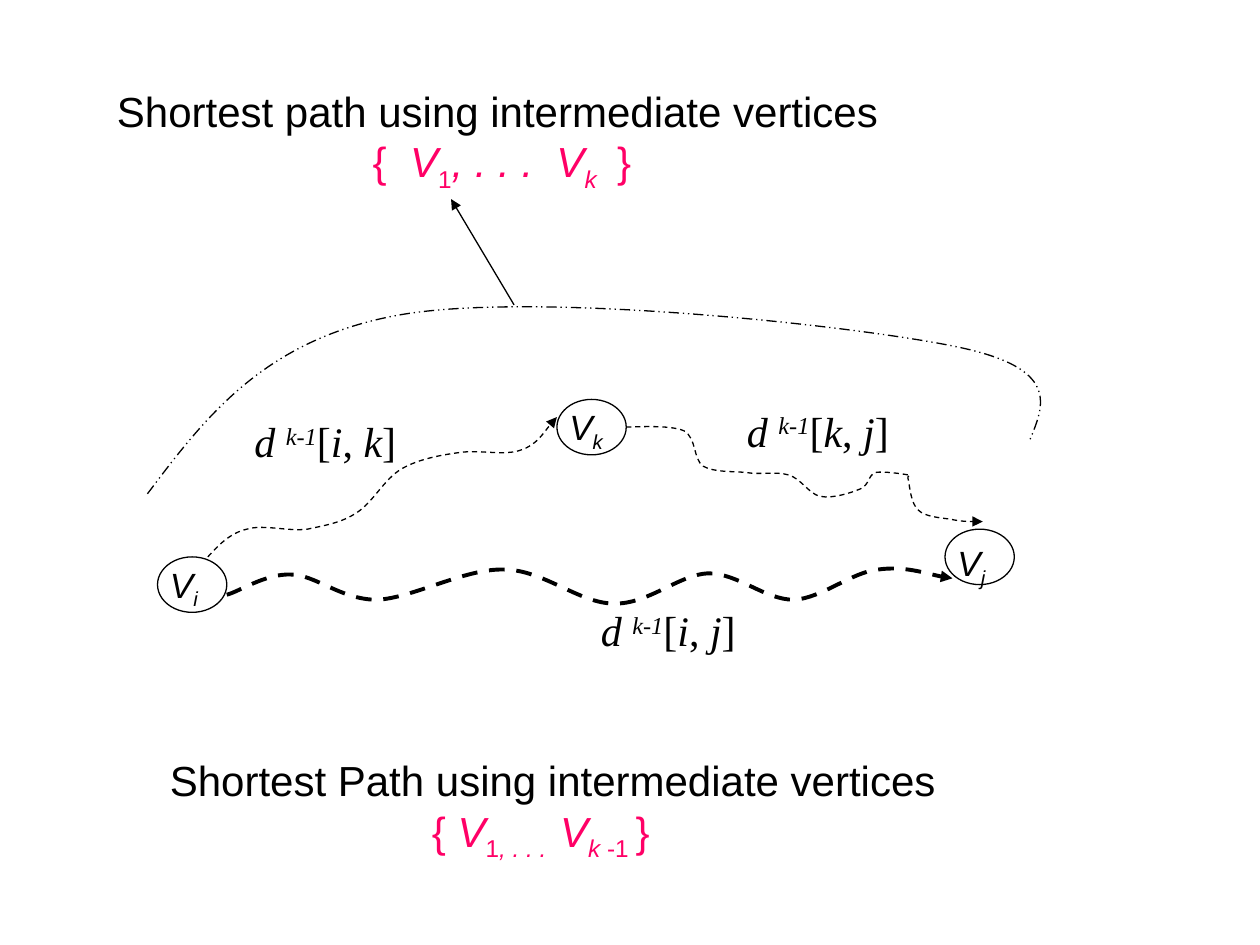
import dataclasses

import lxml.etree
import pptx
import pptx.dml.color
import pptx.enum.dml
import pptx.enum.shapes
import pptx.oxml.ns
import pptx.util
from pptx.util import Inches

qn = pptx.oxml.ns.qn
LINE = pptx.enum.dml.MSO_LINE
SUB, SUPER = -25000, 30000


@dataclasses.dataclass(frozen=True)
class Theme:
    ink: str = "000000"
    accent: str = "FF0066"
    sans: str = "Arial"
    serif: str = "Times New Roman"
    text: int = 24
    vertex: int = 20
    thin: float = 0.75
    thick: float = 2.25


THEME = Theme()

DIRECT_PATH = [
    (1.8, 4.72),
    (1.89, 4.7), (2.11, 4.55), (2.31, 4.56),
    (2.5, 4.56), (2.71, 4.76), (2.99, 4.76),
    (3.27, 4.75), (3.69, 4.51), (4, 4.52),
    (4.31, 4.52), (4.6, 4.79), (4.87, 4.79),
    (5.14, 4.8), (5.39, 4.56), (5.62, 4.55),
    (5.86, 4.55), (6.07, 4.76), (6.3, 4.76),
    (6.52, 4.75), (6.76, 4.54), (6.97, 4.52),
    (7.18, 4.49), (7.44, 4.58), (7.56, 4.59),
]
PATH_I_TO_K = [
    (1.65, 4.42),
    (1.74, 4.32), (1.83, 4.23), (1.96, 4.2),
    (2.09, 4.16), (2.29, 4.22), (2.44, 4.2),
    (2.58, 4.17), (2.71, 4.15), (2.83, 4.07),
    (2.96, 3.99), (3.05, 3.8), (3.19, 3.72),
    (3.33, 3.64), (3.51, 3.61), (3.66, 3.59),
    (3.82, 3.57), (4.01, 3.62), (4.14, 3.57),
    (4.26, 3.53), (4.36, 3.37), (4.42, 3.31),
]
PATH_K_TO_J = [
    (4.97, 3.39),
    (5.05, 3.39), (5.32, 3.37), (5.43, 3.42),
    (5.53, 3.48), (5.5, 3.64), (5.58, 3.7),
    (5.67, 3.75), (5.81, 3.74), (5.92, 3.75),
    (6.03, 3.77), (6.16, 3.74), (6.26, 3.77),
    (6.36, 3.8), (6.42, 3.92), (6.51, 3.94),
    (6.61, 3.96), (6.76, 3.91), (6.83, 3.88),
    (6.9, 3.85), (6.89, 3.77), (6.95, 3.75),
    (7.01, 3.74), (7.16, 3.76), (7.21, 3.77),
    (7.25, 3.78), (7.19, 3.76), (7.21, 3.81),
    (7.22, 3.86), (7.23, 4), (7.29, 4.05),
    (7.34, 4.1), (7.46, 4.11), (7.54, 4.12),
    (7.63, 4.14), (7.75, 4.14), (7.8, 4.14),
]
OUTER_PATH = [
    (1.17, 3.92),
    (1.63, 3.31), (2.1, 2.69), (3.17, 2.5),
    (4.24, 2.31), (6.75, 2.58), (7.58, 2.75),
    (8.42, 2.92), (8.29, 3.21), (8.17, 3.5),
]


def rgb(value):
    return pptx.dml.color.RGBColor.from_string(value)


def style_line(shape, width=THEME.thin, dash=None, arrow=False):
    shape.line.color.rgb = rgb(THEME.ink)
    shape.line.width = pptx.util.Pt(width)
    if dash:
        shape.line.dash_style = dash
    if arrow:
        ln = shape.line._get_or_add_ln()
        lxml.etree.SubElement(ln, qn("a:tailEnd"), type="triangle")


def add_curve(s, points, **line):
    start, *rest = [(Inches(x), Inches(y)) for x, y in points]
    builder = s.shapes.build_freeform(*start)
    builder.add_line_segments(rest, close=False)
    sp = builder.convert_to_shape()
    segments = list(sp._element.iter(qn("a:lnTo")))
    outline = segments[0].getparent()
    for i in range(0, len(segments), 3):
        curve = lxml.etree.SubElement(outline, qn("a:cubicBezTo"))
        for segment in segments[i:i + 3]:
            curve.append(segment[0])
            outline.remove(segment)
    sp.fill.background()
    sp.shadow.inherit = False
    style_line(sp, **line)


def add_arrow(s, start, end):
    x1, y1, x2, y2 = [Inches(v) for v in (*start, *end)]
    line = s.shapes.add_connector(
        pptx.enum.shapes.MSO_CONNECTOR.STRAIGHT, x1, y1, x2, y2)
    style_line(line, arrow=True)
    lxml.etree.SubElement(line._element.spPr, qn("a:effectLst"))


def add_text_box(s, left, top, width, height):
    box = s.shapes.add_textbox(
        Inches(left), Inches(top), Inches(width), Inches(height))
    tf = box.text_frame
    tf.word_wrap = True
    return tf


def write_runs(p, runs, size, font=THEME.sans, color=THEME.ink, indent=0):
    p.font.size = pptx.util.Pt(size)
    p.font.name = font
    p.font.color.rgb = rgb(color)
    if indent:
        p._p.get_or_add_pPr().set("marL", str(int(Inches(indent))))
    for text, italic, baseline in runs:
        r = p.add_run()
        r.text = text
        r.font.italic = italic
        if baseline:
            r._r.get_or_add_rPr().set("baseline", str(baseline))


def add_vertex(s, left, top, index, text_top):
    sp = s.shapes.add_shape(
        pptx.enum.shapes.MSO_SHAPE.OVAL,
        Inches(left), Inches(top), Inches(0.55), Inches(0.44))
    sp.fill.background()
    sp.shadow.inherit = False
    style_line(sp)
    tf = add_text_box(s, left, text_top, 0.55, 0.48)
    runs = [("V", True, 0), (index, True, SUB)]
    write_runs(tf.paragraphs[0], runs, THEME.vertex)


def add_distance(s, left, top, source, target):
    tf = add_text_box(s, left, top, 1.42, 0.5)
    runs = [("d ", True, 0), ("k-1", True, SUPER), ("[", False, 0),
            (source, True, 0), (", ", False, 0), (target, True, 0),
            ("]", False, 0)]
    write_runs(tf.paragraphs[0], runs, THEME.text, THEME.serif)


def add_caption(s, left, top, width, text, vertex_set, indent):
    tf = add_text_box(s, left, top, width, 0.96)
    write_runs(tf.paragraphs[0], [(text, False, 0)], THEME.text)
    write_runs(tf.add_paragraph(), vertex_set, THEME.text,
               color=THEME.accent, indent=indent)


def main():
    prs = pptx.Presentation()
    prs.slide_width, prs.slide_height = Inches(10), Inches(7.5)
    s = prs.slides.add_slide(prs.slide_layouts[6])

    add_vertex(s, 1.25, 4.42, "i", 4.42)
    add_vertex(s, 4.42, 3.17, "k", 3.17)
    add_vertex(s, 7.5, 4.2, "j", 4.25)

    add_curve(s, DIRECT_PATH, width=THEME.thick, dash=LINE.DASH, arrow=True)
    for points in (PATH_I_TO_K, PATH_K_TO_J):
        add_curve(s, points, dash=LINE.DASH, arrow=True)
    add_curve(s, OUTER_PATH, dash=LINE.DASH_DOT_DOT)
    add_arrow(s, (4.08, 2.42), (3.58, 1.58))

    add_distance(s, 4.67, 4.75, "i", "j")
    add_distance(s, 5.83, 3.17, "k", "j")
    add_distance(s, 1.92, 3.25, "i", "k")

    add_caption(s, 0.83, 0.63, 7.58,
                "Shortest path using intermediate vertices",
                [("{  ", False, 0), ("V", True, 0), ("1", False, SUB),
                 (", . . .  V", True, 0), ("k   ", True, SUB),
                 ("}", False, 0)], 2.03)
    add_caption(s, 1.25, 5.94, 8.25,
                "Shortest Path using intermediate vertices",
                [("{ ", False, 0), ("V", True, 0), ("1", False, SUB),
                 (", . . .  ", True, SUB), ("V", True, 0), ("k", True, SUB),
                 (" -1 ", False, SUB), ("}", False, 0)], 2.08)

    prs.save("out.pptx")


if __name__ == "__main__":
    main()
